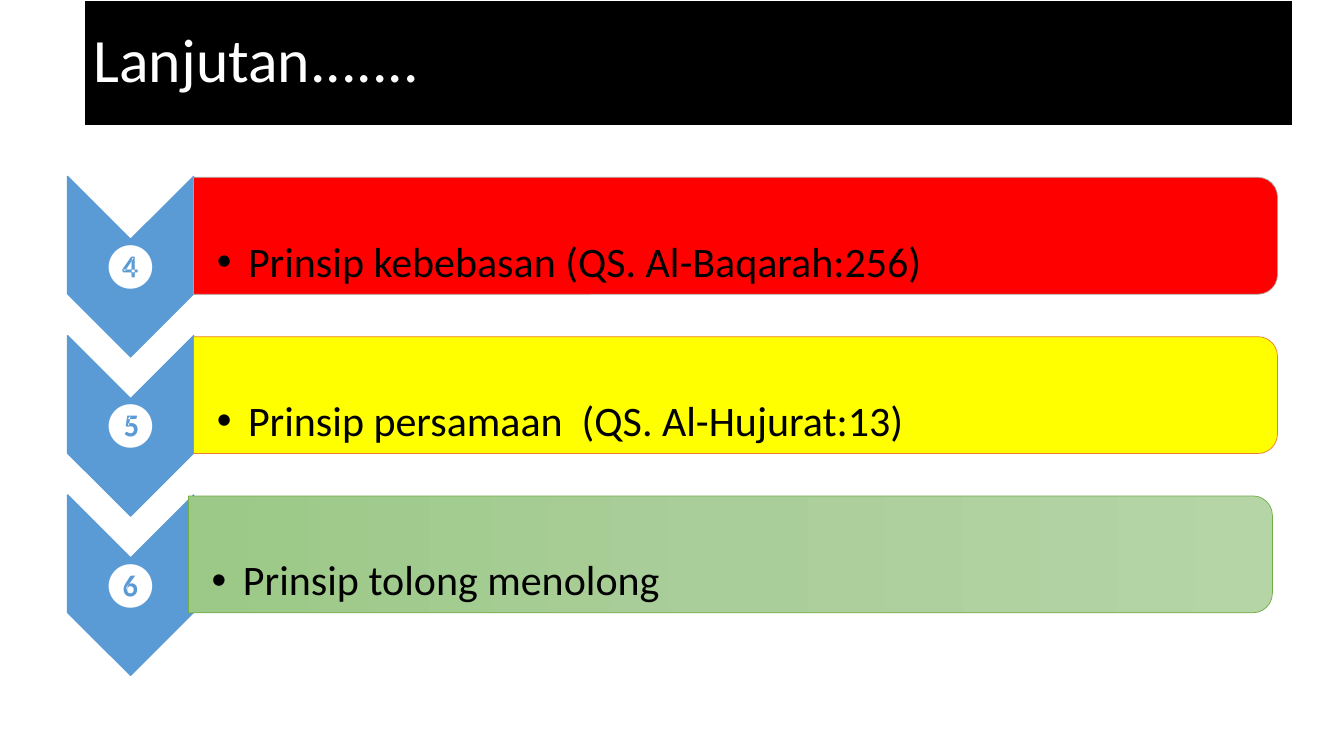
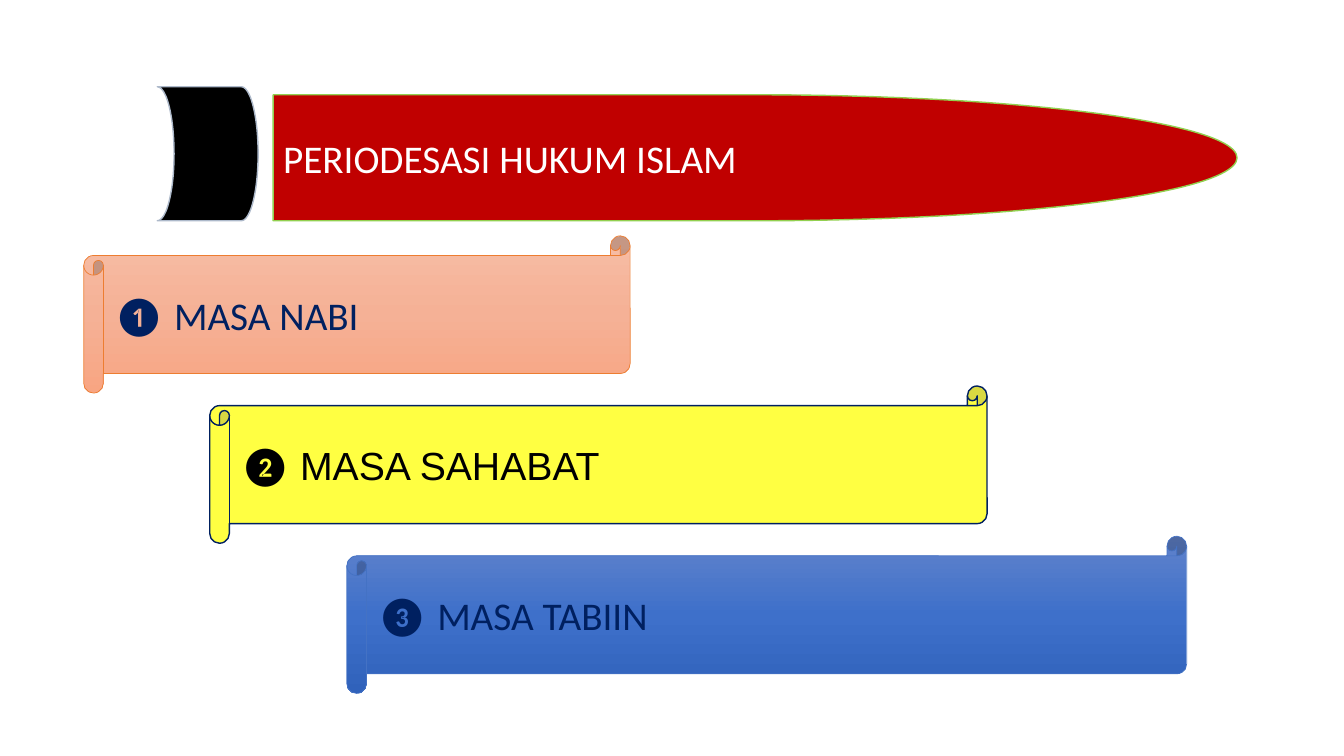
from copy import deepcopy
from dataclasses import dataclass

from lxml import etree
from pptx import Presentation
from pptx.dml.color import RGBColor
from pptx.enum import shapes, text
from pptx.oxml.ns import qn
from pptx.util import Inches, Pt

KIND = shapes.MSO_SHAPE
ALIGN = text.PP_ALIGN
ANCHOR = text.MSO_ANCHOR


@dataclass(frozen=True)
class Theme:
    font: str = "Calibri"
    alt: str = "Arial"
    white: str = "FFFFFF"
    black: str = "000000"
    navy: str = "002060"
    blue: str = "5B9BD5"
    red: str = "FF0000"
    wine: str = "C00000"
    lemon: str = "FFFF00"
    grey: str = "A5A5A5"
    mist: str = "ADB9CA"
    rust: str = "ED7D31"
    moss: str = "70AD47"
    lime: str = "92D050"
    royal: str = "4472C4"
    green: tuple = ("B5D5A7", "AACE9A", "9CC987")
    peach: tuple = ("F7BDA5", "F5B196", "F8A582")
    ocean: tuple = ("6183CB", "3E70CA", "3062BB")
    title: int = 44
    badge: int = 32
    body: int = 30
    label: int = 28


T = Theme()


def rgb(code):
    return RGBColor.from_string(code)


def blend(fill, codes):
    """Fill with three evenly spaced colours, running from top to bottom."""
    fill.gradient()
    fill.gradient_angle = 270
    first = fill._fill._gradFill.find(qn("a:gsLst"))[0]
    first.addnext(deepcopy(first))
    for i, (stop, code) in enumerate(zip(fill.gradient_stops, codes)):
        stop.position = i / 2
        stop.color.rgb = rgb(code)


def draw(slide, kind, box, fill, line, width=1.0, turn=0, alpha=None):
    """Add a preset shape that covers box once it has been turned."""
    x, y, w, h = box
    if turn == 90:
        x, y, w, h = x + (w - h) / 2, y + (h - w) / 2, h, w
    shape = slide.shapes.add_shape(kind, *map(Inches, (x, y, w, h)))
    shape.rotation = turn
    shape.shadow.inherit = False
    if isinstance(fill, tuple):
        blend(shape.fill, fill)
    else:
        shape.fill.solid()
        shape.fill.fore_color.rgb = rgb(fill)
    if alpha:
        tint = shape.fill._xPr.find(qn("a:solidFill"))[0]
        etree.SubElement(tint, qn("a:alpha")).set("val", str(alpha * 1000))
    shape.line.color.rgb = rgb(line)
    shape.line.width = Pt(width)
    return shape


def write(shape, *parts, size, color, align=ALIGN.LEFT, anchor=ANCHOR.MIDDLE,
          space=1.0, hang=0, bullet=None, inset=None):
    """Write one paragraph; each part is a string or a (string, font) pair."""
    frame = shape.text_frame
    frame.word_wrap = True
    frame.vertical_anchor = anchor
    if inset:
        (frame.margin_left, frame.margin_top,
         frame.margin_right, frame.margin_bottom) = map(Inches, inset)
    para = frame.paragraphs[0]
    para.alignment = align
    para.line_spacing = space
    props = para._p.get_or_add_pPr()
    if hang:
        props.set("marL", str(Inches(hang)))
        props.set("indent", str(-Inches(hang)))
    if bullet:
        etree.SubElement(props, qn("a:buFont")).set("typeface", T.alt)
        etree.SubElement(props, qn("a:buChar")).set("char", bullet)
    for part in parts:
        words, font = part if isinstance(part, tuple) else (part, T.font)
        run = para.add_run()
        run.text = words
        run.font.name = font
        run.font.size = Pt(size)
        run.font.color.rgb = rgb(color)


def note(slide, box, *parts, **style):
    write(slide.shapes.add_textbox(*map(Inches, box)), *parts, **style)


def band(slide, box, words):
    shape = draw(slide, KIND.RECTANGLE, box, T.black, T.white, 1.5)
    write(shape, words, size=T.title, color=T.white, space=0.9)


def row(slide, box, mark, words, fill, line, shift=0):
    """Numbered chevron at the left of box, with a bar beside it."""
    x, y, w, h = box
    arm = 1.25
    draw(slide, KIND.CHEVRON, (x, y, arm, h), T.blue, T.blue, turn=90)
    note(slide, (x, y + 0.63, arm, 0.54), mark, size=T.badge, color=T.white,
         align=ALIGN.CENTER, space=0.9, inset=[0.02] * 4)
    left = x + arm + shift
    draw(slide, KIND.ROUND_2_SAME_RECTANGLE, (left, y + 0.01, w - arm, 1.16),
         fill, line, 0.5, turn=90)
    note(slide, (left, y + 0.06, w - arm - 0.06, 1.05), words, size=T.body,
         color=T.black, anchor=ANCHOR.BOTTOM, space=0.9, hang=0.31,
         bullet="•", inset=(0.23, 0.02, 0.02, 0.02))


def rocket(slide, box, words):
    """Black tail piece and red heading side by side in box."""
    x, y, w, h = box
    draw(slide, KIND.FLOWCHART_STORED_DATA, (x, y, 1, h), T.black, T.mist,
         turn=180)
    head = draw(slide, KIND.FLOWCHART_DELAY,
                (x + 1.15, y + 0.08, w - 1.15, h - 0.08), T.wine, T.lime)
    write(head, words, size=T.label, color=T.white, align=ALIGN.JUSTIFY)


def scroll(slide, box, parts, fill, line, width, color, alpha=None):
    shape = draw(slide, KIND.HORIZONTAL_SCROLL, box, fill, line, width,
                 alpha=alpha)
    write(shape, *parts, size=T.label, color=color, hang=0.56)


def rules(slide):
    band(slide, (0.83, 0, 12, 1.25), "Lanjutan.......")
    rows = [
        ("❹", "Prinsip kebebasan (QS. Al-Baqarah:256)", T.red, T.grey, 0),
        ("❺", "Prinsip persamaan  (QS. Al-Hujurat:13)", T.lemon, T.rust, 0),
        ("❻", "Prinsip tolong menolong", T.green, T.moss, -0.05),
    ]
    for i, item in enumerate(rows):
        row(slide, (0.67, 1.75 + 1.58 * i, 12, 1.79), *item)


def eras(slide):
    rocket(slide, (1.56, 0.86, 10.71, 1.33), "PERIODESASI HUKUM ISLAM")
    steps = [
        (0.83, 5.42, ["❶ MASA NABI"], T.peach, T.rust, 0.5, T.navy),
        (2.08, 7.71, ["❷ ", ("MASA SAHABAT", T.alt)], T.lemon, T.navy, 1,
         T.black, 74),
        (3.44, 8.33, ["❸ MASA TABIIN"], T.ocean, T.royal, 0.5, T.navy),
    ]
    for i, (x, w, *look) in enumerate(steps):
        scroll(slide, (x, 2.34 + 1.49 * i, w, 1.56), *look)


def main():
    deck = Presentation()
    deck.slide_width, deck.slide_height = Inches(13.33), Inches(7.5)
    for build in (rules, eras):
        build(deck.slides.add_slide(deck.slide_layouts[6]))
    deck.save("out.pptx")


if __name__ == "__main__":
    main()
